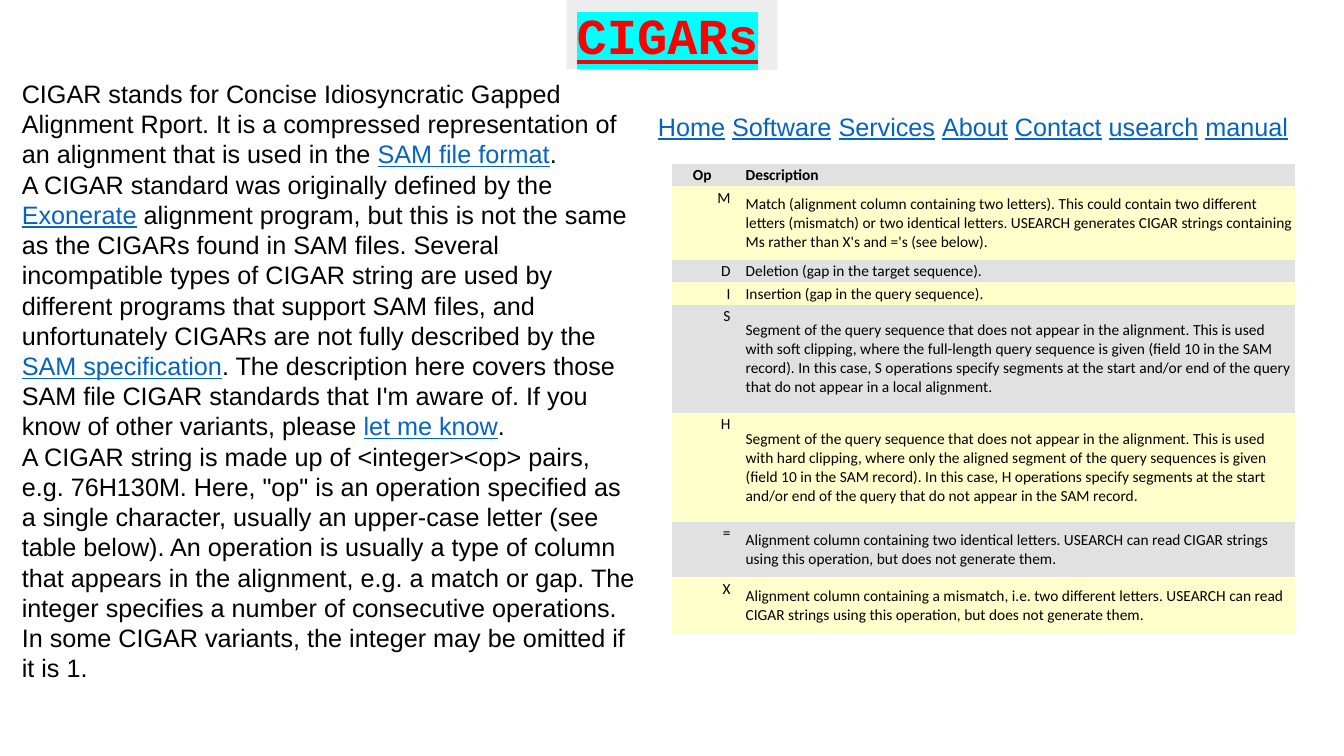
"""Build a slide that explains CIGAR strings and their operations."""
from lxml import etree
from pptx import Presentation
from pptx import util as u
from pptx.dml.color import RGBColor
from pptx.enum import text
from pptx.oxml.ns import qn

LINK_MARK = "|"
NO_GRID_STYLE = "{2D5ABB26-0587-4C30-8999-92F81FD0307C}"


def paint(color_format, color):
    color_format.rgb = RGBColor.from_string(color)


def write_linked_text(paragraph, content):
    """Write text in which pieces between marks look like links."""
    paragraph.font.name = "Arial"
    paragraph.font.size = u.Pt(18)
    paragraph.line_spacing = u.Pt(21.6)
    for index, piece in enumerate(content.split(LINK_MARK)):
        if piece:
            run = paragraph.add_run()
            run.text = piece
            is_link = index % 2 == 1
            run.font.underline = is_link
            paint(run.font.color, "0563C1" if is_link else "000000")


presentation = Presentation()
presentation.slide_width = u.Cm(33.87)
presentation.slide_height = u.Cm(19.05)
slide = presentation.slides.add_slide(presentation.slide_layouts[5])

title = slide.shapes.title
title.left, title.top = u.Cm(14.28), u.Cm(-0.03)
title.width, title.height = u.Cm(5.31), u.Cm(1.8)
title.fill.solid()
paint(title.fill.fore_color, "EDEDED")
frame = title.text_frame
frame.auto_size = text.MSO_AUTO_SIZE.NONE
frame.vertical_anchor = text.MSO_ANCHOR.TOP
frame.margin_top, frame.margin_bottom = u.Cm(0.13), 0
paragraph = frame.paragraphs[0]
paragraph.alignment = text.PP_ALIGN.LEFT
run = paragraph.add_run()
run.text = "CIGARs"
run.font.size = u.Pt(36)
run.font.bold = run.font.underline = True
paint(run.font.color, "FF0000")
highlight = etree.SubElement(run.font._element, qn("a:highlight"))
etree.SubElement(highlight, qn("a:srgbClr"), val="00FFFF")
run.font.name = "Courier New"

explanation = [
    "CIGAR stands for Concise Idiosyncratic Gapped Alignment Rport. It is a compressed "
    "representation of an alignment that is used in the |SAM file format|.",
    "A CIGAR standard was originally defined by the |Exonerate| alignment program, but this "
    "is not the same as the CIGARs found in SAM files. Several incompatible types of CIGAR "
    "string are used by different programs that support SAM files, and unfortunately CIGARs "
    "are not fully described by the |SAM specification|. The description here covers those "
    "SAM file CIGAR standards that I'm aware of. If you know of other variants, please "
    "|let me know|.",
    "A CIGAR string is made up of <integer><op> pairs, e.g. 76H130M. Here, \"op\" is an "
    "operation specified as a single character, usually an upper-case letter (see table "
    "below). An operation is usually a type of column that appears in the alignment, e.g. a "
    "match or gap. The integer specifies a number of consecutive operations. In some CIGAR "
    "variants, the integer may be omitted if it is 1.",
]
menu = ["|Home| |Software| |Services| |About| |Contact| |usearch| |manual|"]
text_boxes = [
    (explanation, 0.3, 1.75, 16.03, 17.2, 0.22),
    (menu, 16.33, 2.67, 17.25, 1.8, 0.13),
]
for contents, left, top, width, height, margin_top in text_boxes:
    box = slide.shapes.add_textbox(u.Cm(left), u.Cm(top), u.Cm(width), u.Cm(height))
    if contents is explanation:
        box.fill.solid()
        paint(box.fill.fore_color, "FFFFFF")
    frame = box.text_frame
    frame.word_wrap = True
    frame.margin_top = u.Cm(margin_top)
    for index, content in enumerate(contents):
        paragraph = frame.add_paragraph() if index else frame.paragraphs[0]
        write_linked_text(paragraph, content)

operations = [
    ("Op", "Description", 0.53),
    ("M", "Match (alignment column containing two letters). This could contain two different "
     "letters (mismatch) or two identical letters. USEARCH generates CIGAR strings containing "
     "Ms rather than X's and ='s (see below).", 1.85),
    ("D", "Deletion (gap in the target sequence).", 0.53),
    ("I", "Insertion (gap in the query sequence).", 0.53),
    ("S", "Segment of the query sequence that does not appear in the alignment. This is used "
     "with soft clipping, where the full-length query sequence is given (field 10 in the SAM "
     "record). In this case, S operations specify segments at the start and/or end of the "
     "query that do not appear in a local alignment.", 2.73),
    ("H", "Segment of the query sequence that does not appear in the alignment. This is used "
     "with hard clipping, where only the aligned segment of the query sequences is given "
     "(field 10 in the SAM record). In this case, H operations specify segments at the start "
     "and/or end of the query that do not appear in the SAM record.", 2.73),
    ("=", "Alignment column containing two identical letters. USEARCH can read CIGAR strings "
     "using this operation, but does not generate them.", 1.41),
    ("X", "Alignment column containing a mismatch, i.e. two different letters. USEARCH can "
     "read CIGAR strings using this operation, but does not generate them.", 1.41),
]
table_frame = slide.shapes.add_table(
    len(operations), 3, u.Cm(16.94), u.Cm(4.13), u.Cm(15.69), u.Cm(11.72))
table = table_frame.table
table._tbl.tblPr.find(qn("a:tableStyleId")).text = NO_GRID_STYLE
for column, width in zip(table.columns, (1.52, 0.28, 13.89)):
    column.width = u.Cm(width)
for row_index, (operation, description, height) in enumerate(operations):
    table.rows[row_index].height = u.Cm(height)
    is_header = row_index == 0
    for column_index, content in enumerate((operation, "", description)):
        cell = table.cell(row_index, column_index)
        cell.margin_left = cell.margin_right = u.Cm(0.05)
        cell.margin_top = cell.margin_bottom = u.Cm(0.05)
        cell.fill.solid()
        paint(cell.fill.fore_color, "FFFFCC" if row_index % 2 else "E1E1E1")
        cell.text = content
        paragraph = cell.text_frame.paragraphs[0]
        paragraph.font.name = "Calibri"
        paragraph.font.size = u.Pt(11)
        paragraph.font.bold = is_header
        paint(paragraph.font.color, "000000")
        if column_index == 0:
            paragraph.alignment = text.PP_ALIGN.CENTER if is_header else text.PP_ALIGN.RIGHT
        elif column_index == 2 and not is_header:
            cell.vertical_anchor = text.MSO_ANCHOR.MIDDLE

presentation.save("out.pptx")
